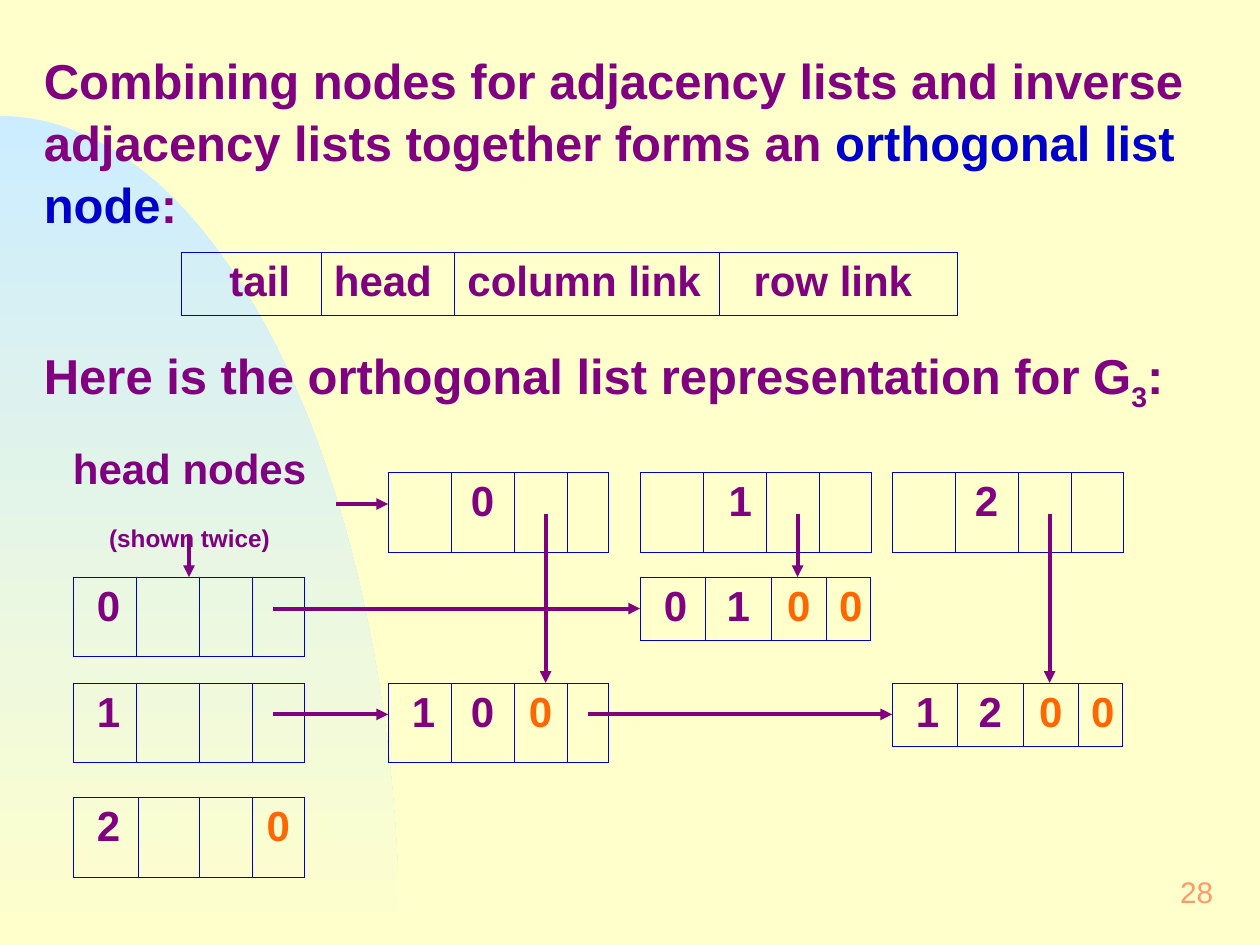
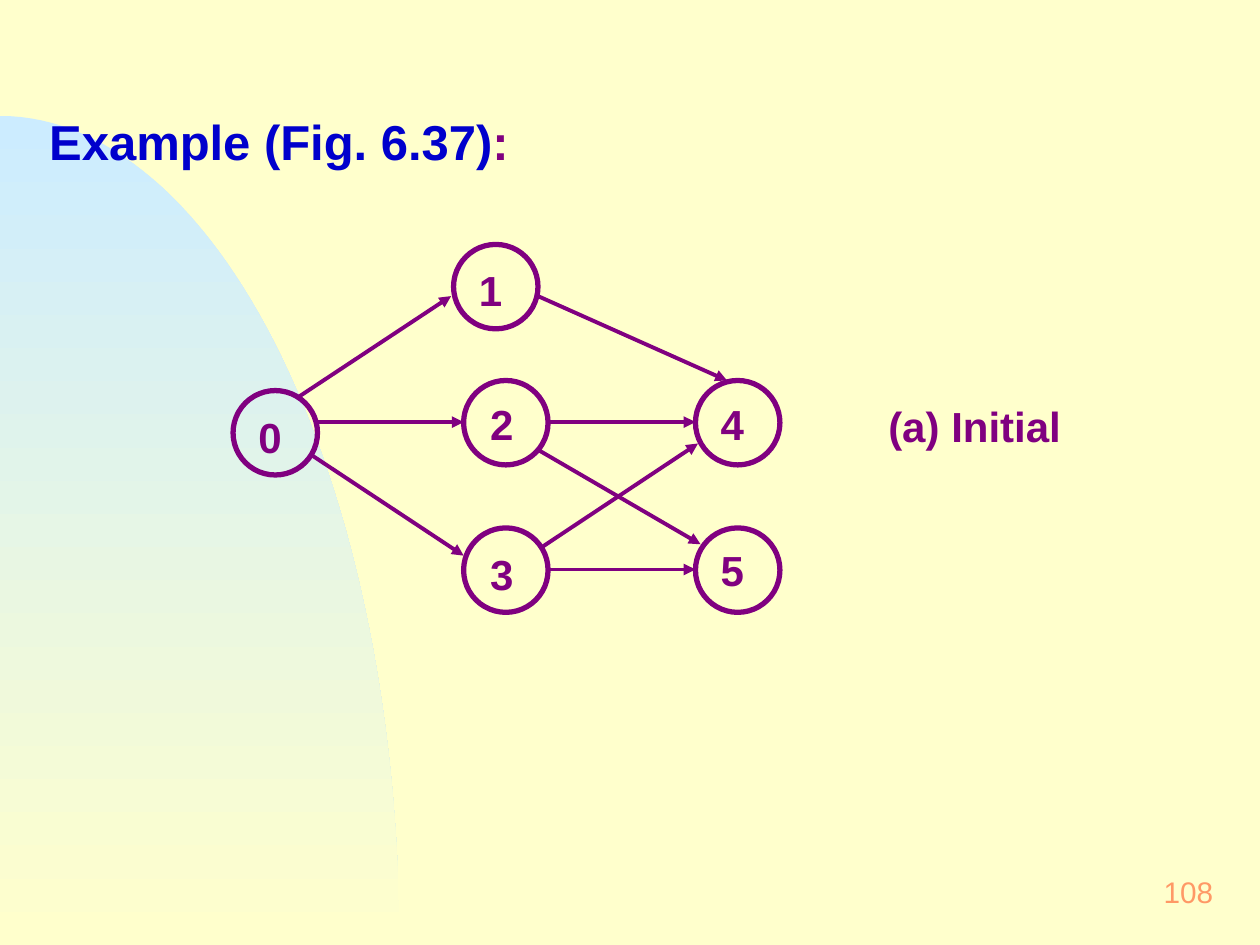
from collections import namedtuple
from math import cos, pi, sin

from lxml import etree
from pptx import Presentation
from pptx.dml.color import RGBColor
from pptx.enum.shapes import MSO_CONNECTOR as Connector, MSO_SHAPE as Shape
from pptx.enum.text import MSO_ANCHOR as Anchor, PP_ALIGN as Align
from pptx.oxml.ns import qn
from pptx.util import Inches, Pt

COLORS = {
    "background": "FFFFCC",
    "sky": "CCECFF",
    "text": "800080",
    "term": "0000CC",
    "null": "FF6600",
    "number": "FF9966",
}
FONT = "Arial"
WIDE, NARROW = (0.1, 0.05), (0.12, 0.06)  # text insets: sides, top and bottom

Field = namedtuple("Field", "text align left right color",
                   defaults=(Align.CENTER, 0.1, 0.1, "text"))
BLANK = Field("")
NULL = Field("0", color="null")


def rgb(name):
    return RGBColor.from_string(COLORS[name])


def first_field(text):
    return Field(text, Align.LEFT, left=0.19)


def add_run(paragraph, text, size, color="text", bold=True, baseline=None):
    run = paragraph.add_run()
    run.text = text
    font = run.font
    font.name, font.size, font.bold = FONT, Pt(size), bold
    font.color.rgb = rgb(color)
    if baseline:
        run._r.get_or_add_rPr().set("baseline", str(baseline * 1000))
    return run


def add_text(slide, box, paragraphs, size, insets=NARROW, align=Align.LEFT,
             anchor=Anchor.TOP, wrap=True, bold=True, spacing=1.05):
    """Add a text box; each paragraph is a list of (text, color, baseline) runs."""
    frame = slide.shapes.add_textbox(*map(Inches, box)).text_frame
    frame.word_wrap = wrap
    frame.vertical_anchor = anchor
    frame.margin_left = frame.margin_right = Inches(insets[0])
    frame.margin_top = frame.margin_bottom = Inches(insets[1])
    for index, runs in enumerate(paragraphs):
        paragraph = frame.add_paragraph() if index else frame.paragraphs[0]
        paragraph.alignment = align
        paragraph.line_spacing = spacing
        for text, color, *baseline in runs:
            add_run(paragraph, text, size, color, bold, *baseline)


def add_arc_band(slide):
    """Draw the quarter ellipse that fades from the left edge."""
    width, top, bottom, steps = 3.17, 0.92, 7.5, 60
    angles = [pi / 2 * step / steps for step in range(steps + 1)]
    curve = [(Inches(width * sin(a)), Inches(bottom - (bottom - top) * cos(a)))
             for a in angles]
    builder = slide.shapes.build_freeform(*curve[0])
    builder.add_line_segments(curve[1:] + [(0, Inches(bottom))], close=True)
    band = builder.convert_to_shape()
    band.shadow.inherit = False
    band.line.fill.background()
    band.fill.gradient()
    band.fill.gradient_angle = 270
    for stop, color in zip(band.fill.gradient_stops, ("sky", "background")):
        stop.color.rgb = rgb(color)
        stop.position = 0 if color == "sky" else 1


def add_slide(prs, number):
    slide = prs.slides.add_slide(prs.slide_layouts[6])
    slide.background.fill.solid()
    slide.background.fill.fore_color.rgb = rgb("background")
    add_arc_band(slide)
    add_text(slide, (7.67, 6.83, 2.08, 0.5), [[(number, "number")]], 17,
             align=Align.RIGHT, anchor=Anchor.MIDDLE, wrap=False, bold=False,
             spacing=1)
    return slide


def add_arrow(slide, start, end):
    arrow = slide.shapes.add_connector(Connector.STRAIGHT,
                                       *map(Inches, start + end))
    arrow.line.color.rgb = rgb("text")
    arrow.line.width = Pt(2.25)
    etree.SubElement(arrow.line._get_or_add_ln(), qn("a:tailEnd"),
                     type="triangle")
    etree.SubElement(arrow._element.spPr, qn("a:effectLst"))


def add_cell_borders(cell):
    properties = cell._tc.get_or_add_tcPr()
    for index, side in enumerate(("lnL", "lnR", "lnT", "lnB")):
        border = etree.Element(qn(f"a:{side}"), w=str(Pt(0.45)))
        fill = etree.SubElement(border, qn("a:solidFill"))
        etree.SubElement(fill, qn("a:srgbClr"), val=COLORS["term"])
        properties.insert(index, border)


def add_list_node(slide, left, top, widths, fields):
    """Add a one-row table; a node with a blank field is taller."""
    height = 0.63 if BLANK in fields else 0.5
    table = slide.shapes.add_table(
        1, len(fields), *map(Inches, (left, top, sum(widths), height))).table
    table.first_row = table.horz_banding = False
    for column, (width, field) in enumerate(zip(widths, fields)):
        table.columns[column].width = Inches(width)
        cell = table.cell(0, column)
        cell.fill.background()
        cell.margin_left, cell.margin_right = Inches(field.left), Inches(field.right)
        add_cell_borders(cell)
        paragraph = cell.text_frame.paragraphs[0]
        paragraph.alignment = field.align
        if field.text:
            add_run(paragraph, field.text, 24, field.color)


def add_vertex(slide, label, left, top, label_dx, label_dy):
    circle = slide.shapes.add_shape(
        Shape.OVAL, *map(Inches, (left, top, 0.67, 0.67)))
    circle.shadow.inherit = False
    circle.fill.background()
    circle.line.color.rgb = rgb("text")
    circle.line.width = Pt(3)
    add_text(slide, (left + label_dx, top + label_dy, 0.42, 0.52),
             [[(label, "text")]], 24)


def build_orthogonal_list(prs):
    slide = add_slide(prs, "28")
    add_text(slide, (0.25, 0.33, 9.58, 1.5), [[
        ("Combining nodes for adjacency lists and inverse adjacency lists "
         "together forms an ", "text"),
        ("orthogonal list node", "term"), (":", "text")]], 28, WIDE)
    add_list_node(slide, 1.44, 2, (1.11, 1.06, 2.1, 1.89), (
        Field("tail", Align.LEFT, left=0.38), Field("head", Align.LEFT),
        Field("column link", Align.LEFT), Field("row link", right=0.19)))
    add_text(slide, (0.25, 2.67, 9.58, 0.63), [[
        ("Here is the orthogonal list representation for G", "text"),
        ("3", "text", -25), (":", "text")]], 28, WIDE)

    head_widths = (0.5, 0.5, 0.42, 0.42)
    short_widths = (0.5, 0.5, 0.42, 0.33)
    last_row_widths = (0.52, 0.48, 0.42, 0.42)
    full_widths = (0.52, 0.52, 0.44, 0.35)
    columns = (3.08, 5.08, 7.08)
    row_left, column_top = 0.58, 3.75
    rows = (4.58, 5.42, 6.33)

    column_heads = (Field("0"), Field("1", left=0.19), Field("2"))
    for left, field, widths in zip(columns, column_heads,
                                   (short_widths, head_widths, head_widths)):
        add_list_node(slide, left, column_top, widths,
                      (BLANK, field, BLANK, BLANK))
    for index, (top, widths, row_link) in enumerate(zip(
            rows, (head_widths, head_widths, last_row_widths),
            (BLANK, BLANK, NULL))):
        add_list_node(slide, row_left, top, widths,
                      (first_field(str(index)), BLANK, BLANK, row_link))
    for tail, head, widths, row_link in ((0, 1, full_widths, NULL),
                                         (1, 0, short_widths, BLANK),
                                         (1, 2, full_widths, NULL)):
        add_list_node(slide, columns[head], rows[tail], widths,
                      (first_field(str(tail)), Field(str(head)), NULL, row_link))

    for x, start, end in ((4.33, 4.08, 5.42), (8.33, 4.08, 5.42),
                          (6.33, 4.08, 4.58), (1.5, 4.25, 4.58)):
        add_arrow(slide, (x, start), (x, end))
    for y, start, end in ((5.67, 4.67, 7.08), (4.83, 2.17, 5.08),
                          (5.67, 2.17, 3.08), (4, 2.67, 3.08)):
        add_arrow(slide, (start, y), (end, y))
    add_text(slide, (0.42, 3.44, 2.17, 0.96),
             [[("head nodes", "text")], [("(shown twice)", "text", -25)]],
             24, WIDE, Align.CENTER)


def build_activity_graph(prs):
    slide = add_slide(prs, "108")
    add_text(slide, (0.27, 0.8, 9.58, 0.59),
             [[("Example (Fig. 6.37)", "term"), (":", "text")]], 28)
    vertices = (
        ("0", 1.85, 3.1, 0.08, 0.09),
        ("1", 3.6, 1.94, 0.08, 0.08),
        ("2", 3.68, 3.02, 0.09, 0.06),
        ("3", 3.68, 4.19, 0.09, 0.08),
        ("4", 5.52, 3.02, 0.08, 0.06),
        ("5", 5.52, 4.19, 0.08, 0.05),
    )
    for vertex in vertices:
        add_vertex(slide, *vertex)
    edges = (
        ((2.37, 3.15), (3.58, 2.35)),
        ((2.52, 3.35), (3.68, 3.35)),
        ((2.47, 3.61), (3.68, 4.41)),
        ((4.27, 2.35), (5.77, 3.02)),
        ((4.35, 3.35), (5.52, 3.35)),
        ((4.27, 3.57), (5.56, 4.32)),
        ((4.29, 4.35), (5.54, 3.52)),
        ((4.35, 4.52), (5.52, 4.52)),
    )
    for start, end in edges:
        add_arrow(slide, start, end)
    add_text(slide, (6.93, 3.1, 1.92, 0.52), [[("(a) Initial", "text")]], 24)


def main():
    prs = Presentation()
    prs.slide_width, prs.slide_height = Inches(10), Inches(7.5)
    build_orthogonal_list(prs)
    build_activity_graph(prs)
    prs.save("out.pptx")


if __name__ == "__main__":
    main()
